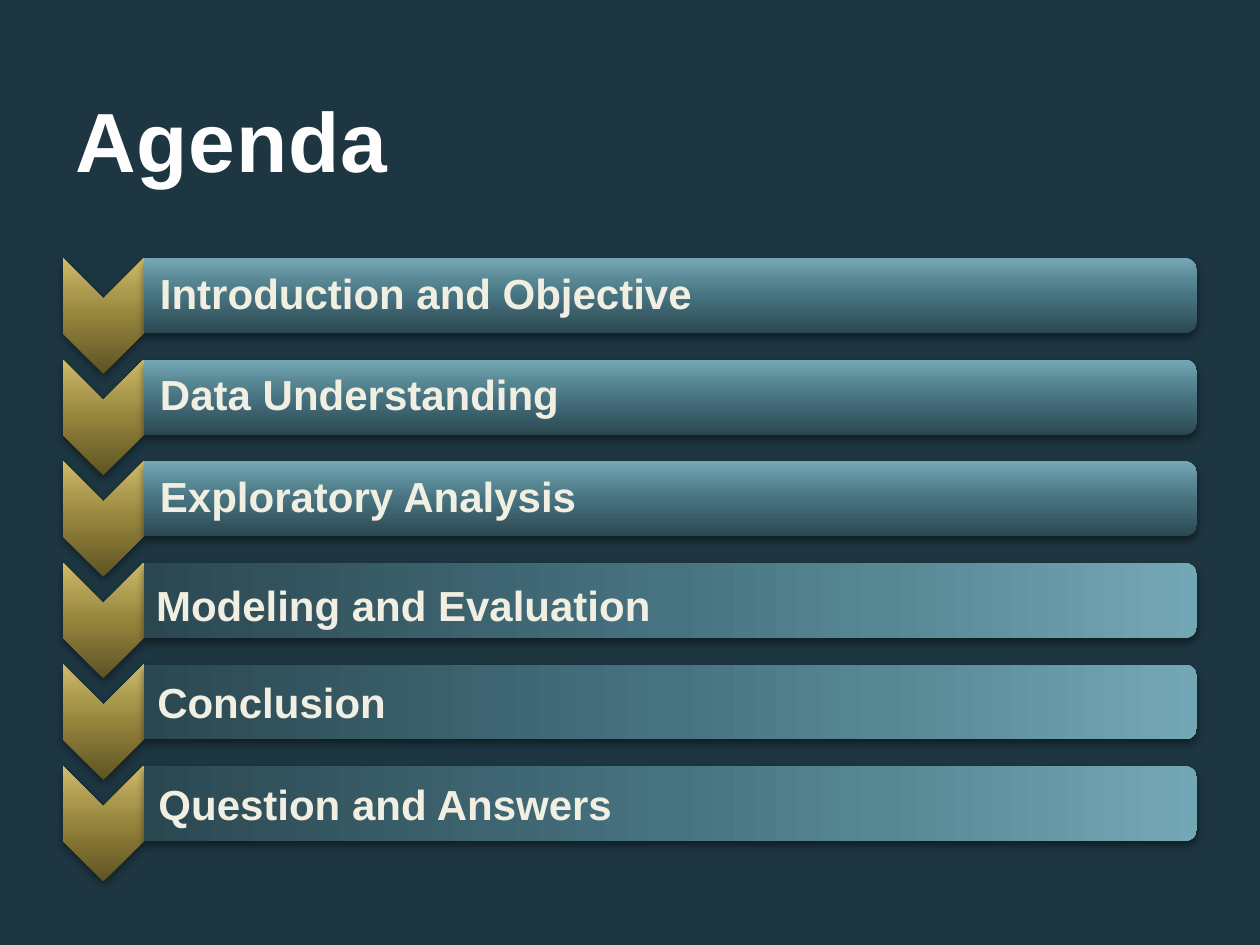
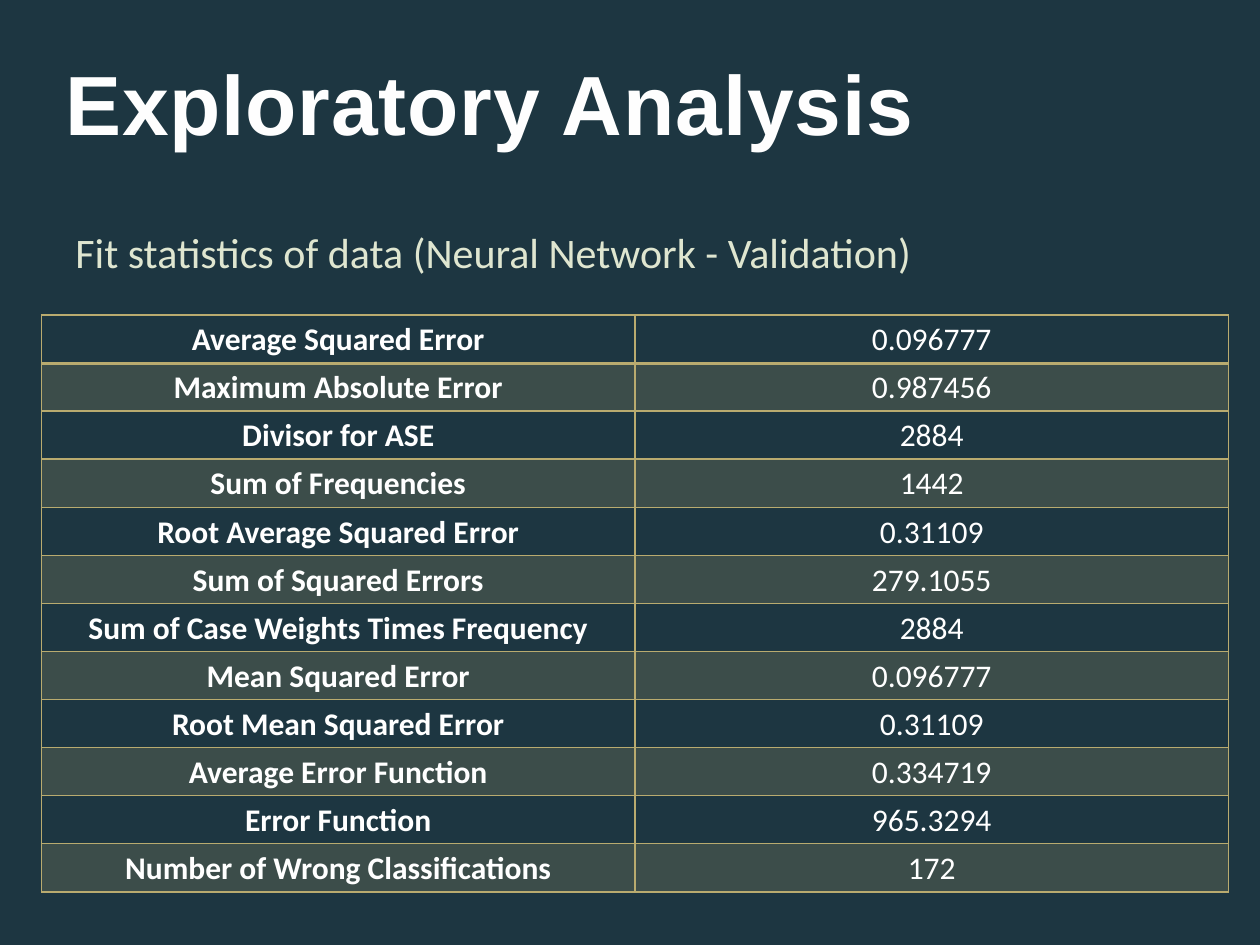
from dataclasses import dataclass
from math import cos, pi, sin

from pptx import Presentation
from pptx.dml.color import RGBColor
from pptx.enum.shapes import MSO_SHAPE
from pptx.enum.text import MSO_ANCHOR, PP_ALIGN
from pptx.oxml.ns import qn
from pptx.util import Inches, Pt
from lxml.etree import SubElement


@dataclass(frozen=True)
class Theme:
    """Colours, fonts and type sizes shared by the slides."""

    background: str = "1D3641"
    title: str = "FEFEFE"
    title_outline: str = "384F55"
    label: str = "F1EEE2"
    body: str = "DFE6D0"
    cell: str = "FFFFFF"
    accent: str = "B9AB6F"
    gold: tuple = ((0, "5E5324"), (50, "95843C"), (70, "AB994E"), (100, "CFBB69"))
    teal: tuple = ((0, "2B4851"), (50, "477380"), (70, "588794"), (100, "74A7B6"))
    heading_font: str = "Arial"
    body_font: str = "Calibri"
    title_size: int = 48
    text_size: int = 24
    cell_size: int = 18


THEME = Theme()

AGENDA_LEFT, AGENDA_TOP, AGENDA_PITCH = 0.5, 2.05, 0.806
CHEVRON_WIDTH, CHEVRON_POINT = 0.64, 0.32
BAR_WIDTH, BAR_HEIGHT, BAR_RADIUS = 8.36, 0.595, 0.1
BAR_LEFT = AGENDA_LEFT + CHEVRON_WIDTH

BAR_TOPICS = ("Introduction and Objective", "Data Understanding", "Exploratory Analysis")
BOXED_TOPICS = (
    ("Modeling and Evaluation", 1.14, 4.55, 4.5),
    ("Conclusion", 1.15, 5.32, 6.5),
    ("Question and Answers", 1.16, 6.13, 5.33),
)

FIT_STATISTICS = (
    ("Average Squared Error", "0.096777"),
    ("Maximum Absolute Error", "0.987456"),
    ("Divisor for ASE", "2884"),
    ("Sum of Frequencies", "1442"),
    ("Root Average Squared Error", "0.31109"),
    ("Sum of Squared Errors", "279.1055"),
    ("Sum of Case Weights Times Frequency", "2884"),
    ("Mean Squared Error", "0.096777"),
    ("Root Mean Squared Error", "0.31109"),
    ("Average Error Function", "0.334719"),
    ("Error Function", "965.3294"),
    ("Number of Wrong Classifications", "172"),
)


def style_font(font, name, size, color, bold=False):
    """Set the typeface, size, colour and weight of a font."""
    font.name = name
    font.size = Pt(size)
    font.bold = bold
    font.color.rgb = RGBColor.from_string(color)


def add_solid_line(parent, tag, color, width):
    """Append a solid line element and return it."""
    line = SubElement(parent, qn(tag), w=str(Pt(width)))
    fill = SubElement(line, qn("a:solidFill"))
    SubElement(fill, qn("a:srgbClr"), val=color)
    return line


def add_slide(presentation):
    """Add a blank slide with the shared background."""
    slide = presentation.slides.add_slide(presentation.slide_layouts[6])
    fill = slide.background.fill
    fill.solid()
    fill.fore_color.rgb = RGBColor.from_string(THEME.background)
    return slide


def add_text(slide, text, left, top, width, height):
    """Add a wrapping text box and return its frame and paragraph."""
    box = slide.shapes.add_textbox(Inches(left), Inches(top), Inches(width), Inches(height))
    frame = box.text_frame
    frame.word_wrap = True
    frame.text = text
    return frame, frame.paragraphs[0]


def add_title(slide, text, left, top):
    """Add a slide title standing on the bottom of its box."""
    frame, paragraph = add_text(slide, text, left, top, 9, 1.25)
    frame.vertical_anchor = MSO_ANCHOR.BOTTOM
    run = paragraph.runs[0]
    style_font(run.font, THEME.heading_font, THEME.title_size, THEME.title, bold=True)
    properties = run.font._element
    properties.set("spc", "50")
    properties.insert(0, add_solid_line(properties, "a:ln", THEME.title_outline, 1.05))


def style_label(paragraph):
    """Apply the agenda label type."""
    style_font(paragraph.font, THEME.heading_font, THEME.text_size, THEME.label, bold=True)


def style_glossy(shape, stops):
    """Give a shape an upward gradient, no line and a soft shadow below."""
    shape.line.fill.background()
    shape.fill.gradient()
    shape.fill.gradient_angle = 90
    properties = shape._element.spPr
    stop_list = properties.find(".//" + qn("a:gsLst"))
    for old_stop in list(stop_list):
        stop_list.remove(old_stop)
    for position, color in stops:
        stop = SubElement(stop_list, qn("a:gs"), pos=str(position * 1000))
        SubElement(stop, qn("a:srgbClr"), val=color)
    shape.shadow.inherit = False
    shadow = SubElement(
        properties.find(qn("a:effectLst")), qn("a:outerShdw"),
        blurRad=str(Pt(5)), dist=str(Pt(2)), dir="5400000", rotWithShape="0",
    )
    shadow_color = SubElement(shadow, qn("a:srgbClr"), val="000000")
    SubElement(shadow_color, qn("a:alpha"), val="43000")


def add_outline(slide, points, stops):
    """Add a closed glossy outline through points given in inches."""
    start, *others = [(Inches(x), Inches(y)) for x, y in points]
    builder = slide.shapes.build_freeform(*start, scale=1.0)
    builder.add_line_segments(others, close=True)
    shape = builder.convert_to_shape()
    style_glossy(shape, stops)
    return shape


def add_chevron(slide, top):
    """Add a gold chevron pointing down."""
    middle, shoulder = AGENDA_LEFT + CHEVRON_WIDTH / 2, top + BAR_HEIGHT
    points = (
        (BAR_LEFT, top), (BAR_LEFT, shoulder), (middle, shoulder + CHEVRON_POINT),
        (AGENDA_LEFT, shoulder), (AGENDA_LEFT, top), (middle, top + CHEVRON_POINT),
    )
    add_outline(slide, points, THEME.gold)


def corner_points(center_x, center_y, first_angle, steps=8):
    """Return points along a quarter turn of the bar corner."""
    angles = [first_angle + pi / 2 * step / steps for step in range(steps + 1)]
    return [(center_x + BAR_RADIUS * cos(angle), center_y + BAR_RADIUS * sin(angle))
            for angle in angles]


def add_labelled_bar(slide, text, top):
    """Add a bar rounded on its right side that carries its label."""
    bottom, center_x = top + BAR_HEIGHT, BAR_LEFT + BAR_WIDTH - BAR_RADIUS
    points = [
        (BAR_LEFT, top),
        *corner_points(center_x, top + BAR_RADIUS, -pi / 2),
        *corner_points(center_x, bottom - BAR_RADIUS, 0),
        (BAR_LEFT, bottom),
    ]
    frame = add_outline(slide, points, THEME.teal).text_frame
    frame.word_wrap = True
    frame.vertical_anchor = MSO_ANCHOR.MIDDLE
    frame.margin_left = Inches(0.13)
    frame.margin_top = frame.margin_right = frame.margin_bottom = Inches(0.04)
    frame.text = text
    paragraph = frame.paragraphs[0]
    paragraph.alignment = PP_ALIGN.LEFT
    paragraph.line_spacing = 0.9
    style_label(paragraph)


def add_turned_bar(slide, top):
    """Add a bar turned a quarter, so that its gradient runs sideways."""
    left = BAR_LEFT + (BAR_WIDTH - BAR_HEIGHT) / 2
    turned_top = top + (BAR_HEIGHT - BAR_WIDTH) / 2
    shape = slide.shapes.add_shape(
        MSO_SHAPE.ROUND_2_SAME_RECTANGLE,
        Inches(left), Inches(turned_top), Inches(BAR_HEIGHT), Inches(BAR_WIDTH),
    )
    shape.rotation = 90
    style_glossy(shape, THEME.teal)


def style_cell(cell, text, bold, shaded, top_width, bottom_width):
    """Write one table cell with its borders and fill."""
    cell.margin_left = cell.margin_right = Inches(0.07)
    cell.margin_top = cell.margin_bottom = 0
    cell.text = text
    paragraph = cell.text_frame.paragraphs[0]
    paragraph.alignment = PP_ALIGN.CENTER
    paragraph.line_spacing = 1.15
    style_font(paragraph.font, THEME.body_font, THEME.cell_size, THEME.cell, bold)
    properties = cell._tc.get_or_add_tcPr()
    widths = {"a:lnL": 1, "a:lnR": 1, "a:lnT": top_width, "a:lnB": bottom_width}
    for tag, width in widths.items():
        add_solid_line(properties, tag, THEME.accent, width)
    if shaded:
        cell.fill.solid()
        cell.fill.fore_color.rgb = RGBColor.from_string(THEME.accent)
        color = properties.find(qn("a:solidFill")).find(qn("a:srgbClr"))
        SubElement(color, qn("a:alpha"), val="20000")
    else:
        cell.fill.background()


def add_statistics_table(slide, rows):
    """Add a two-column table with every second row shaded."""
    table = slide.shapes.add_table(
        len(rows), 2, Inches(0.33), Inches(2.5), Inches(9.42), Inches(4.58)
    ).table
    table.first_row = table.horz_banding = False
    for row_index, row in enumerate(rows):
        top_width = 2 if row_index == 1 else 1
        bottom_width = 2 if row_index == 0 else 1
        for column_index, text in enumerate(row):
            style_cell(
                table.cell(row_index, column_index), text, column_index == 0,
                row_index % 2 == 1, top_width, bottom_width,
            )


def build_agenda(presentation):
    """Build the agenda slide."""
    slide = add_slide(presentation)
    add_title(slide, "Agenda", 0.5, 0.3)
    for index in range(len(BAR_TOPICS) + len(BOXED_TOPICS)):
        top = AGENDA_TOP + index * AGENDA_PITCH
        add_chevron(slide, top)
        if index < len(BAR_TOPICS):
            add_labelled_bar(slide, BAR_TOPICS[index], top)
        else:
            add_turned_bar(slide, top)
    for text, left, top, width in BOXED_TOPICS:
        style_label(add_text(slide, text, left, top, width, 0.5)[1])


def build_analysis(presentation):
    """Build the fit statistics slide."""
    slide = add_slide(presentation)
    add_title(slide, "Exploratory Analysis", 0.42, 0.01)
    subtitle = "Fit statistics of data (Neural Network - Validation)"
    paragraph = add_text(slide, subtitle, 0.5, 1.75, 9, 0.6)[1]
    paragraph.space_before = Pt(4.8)
    style_font(paragraph.font, THEME.body_font, THEME.text_size, THEME.body)
    add_statistics_table(slide, FIT_STATISTICS)


def main():
    """Build and save the presentation."""
    presentation = Presentation()
    presentation.slide_width, presentation.slide_height = Inches(10), Inches(7.5)
    build_agenda(presentation)
    build_analysis(presentation)
    presentation.save("out.pptx")


main()
